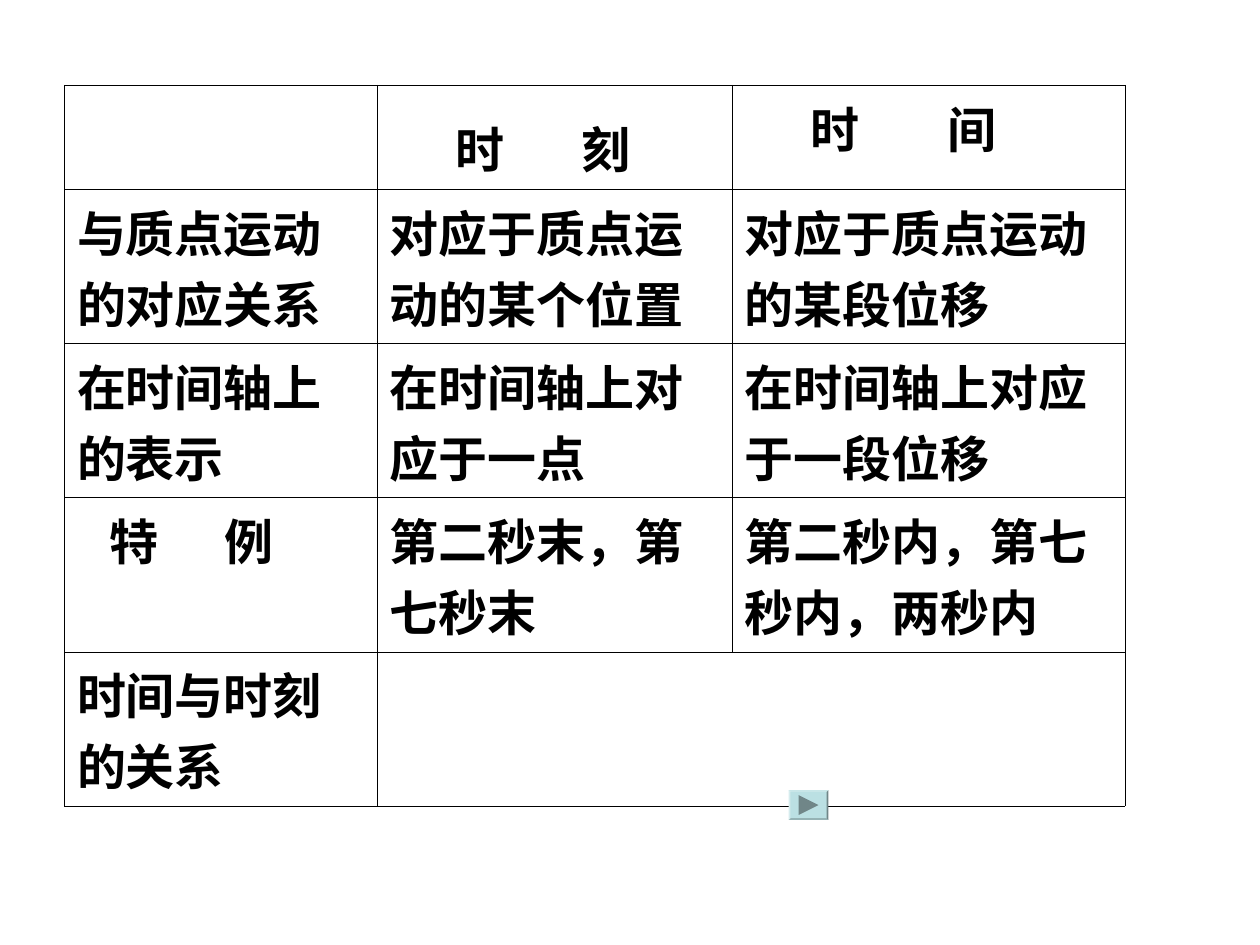
import pptx
import pptx.dml.color
import pptx.enum.shapes
import pptx.oxml
import pptx.oxml.ns
import pptx.util

Cm = pptx.util.Cm
Pt = pptx.util.Pt
COLORS = {"text": "000000", "border": "000000", "button": "BBE0E3", "arrow": "708688"}
FONT = {"name": "Times New Roman", "size": Pt(28), "bold": True}
COL_WIDTHS = [6.3, 7.16, 7.92]
ROW_HEIGHTS = [1.88] + [2.64] * 4
ROWS = [
    ["", "时\t刻", "时\t间"],
    ["与质点运动的对应关系", "对应于质点运动的某个位置", "对应于质点运动的某段位移"],
    ["在时间轴上的表示", "在时间轴上对应于一点", "在时间轴上对应于一段位移"],
    ["特\t例", "第二秒末，第七秒末", "第二秒内，第七秒内，两秒内"],
    ["时间与时刻的关系", "", ""],
]
# (row, column): left margin, top margin and tab stop in cm
SPREAD = {
    (0, 1): (1.58, 0.54, 2.54),
    (0, 2): (1.58, 0.13, 2.76),
    (3, 0): (0.91, 0.13, 2.32),
}


def rgb(name):
    return pptx.dml.color.RGBColor.from_string(COLORS[name])


def set_borders(cell):
    tcPr = cell._tc.get_or_add_tcPr()
    for side in ("lnL", "lnR", "lnT", "lnB"):
        tcPr.append(pptx.oxml.parse_xml(
            f'<a:{side} {pptx.oxml.ns.nsdecls("a")} w="{Pt(0.45)}"><a:solidFill>'
            f'<a:srgbClr val="{COLORS["border"]}"/></a:solidFill></a:{side}>'))


def add_tab(p, position):
    p._p.get_or_add_pPr().append(pptx.oxml.parse_xml(
        f'<a:tabLst {pptx.oxml.ns.nsdecls("a")}><a:tab pos="{Cm(position)}" algn="l"/></a:tabLst>'))


def fill_cell(cell, text, spread):
    """Write one cell; spread sets the margins and tab of a spaced heading."""
    set_borders(cell)
    cell.fill.background()
    if not text:
        return
    p = cell.text_frame.paragraphs[0]
    if spread:
        left, top, tab = spread
        cell.margin_left, cell.margin_top = Cm(left), Cm(top)
        add_tab(p, tab)
    r = p.add_run()
    r.text = text
    for key, value in FONT.items():
        setattr(r.font, key, value)
    r.font.color.rgb = rgb("text")


def add_comparison_table(s, left, top):
    frame = s.shapes.add_table(len(ROWS), len(COL_WIDTHS), Cm(left), Cm(top),
                               Cm(sum(COL_WIDTHS)), Cm(sum(ROW_HEIGHTS)))
    table = frame.table
    table.first_row = table.horz_banding = False
    for column, width in zip(table.columns, COL_WIDTHS):
        column.width = Cm(width)
    for row, height in zip(table.rows, ROW_HEIGHTS):
        row.height = Cm(height)
    for i, texts in enumerate(ROWS):
        for j, text in enumerate(texts):
            fill_cell(table.cell(i, j), text, SPREAD.get((i, j)))
    table.cell(4, 1).merge(table.cell(4, 2))


def paint(sp, color):
    sp.shadow.inherit = False
    sp.fill.solid()
    sp.fill.fore_color.rgb = rgb(color)
    sp.line.fill.background()


def add_next_button(s, left, top, width, height):
    sp = s.shapes.add_shape(pptx.enum.shapes.MSO_SHAPE.BEVEL,
                            Cm(left), Cm(top), Cm(width), Cm(height))
    sp.adjustments[0] = 0.06
    paint(sp, "button")
    x, mid, half = left + width / 4, top + height / 2, width / 4
    builder = s.shapes.build_freeform(Cm(x), Cm(mid - half))
    builder.add_line_segments([(Cm(x + 2 * half), Cm(mid)), (Cm(x), Cm(mid + half))])
    paint(builder.convert_to_shape(), "arrow")


def main():
    prs = pptx.Presentation()
    prs.slide_width, prs.slide_height = Cm(25.4), Cm(19.05)
    s = prs.slides.add_slide(prs.slide_layouts[6])
    add_comparison_table(s, 1.3, 1.72)
    add_next_button(s, 15.9, 15.93, 0.8, 0.6)
    prs.save("out.pptx")


if __name__ == "__main__":
    main()
